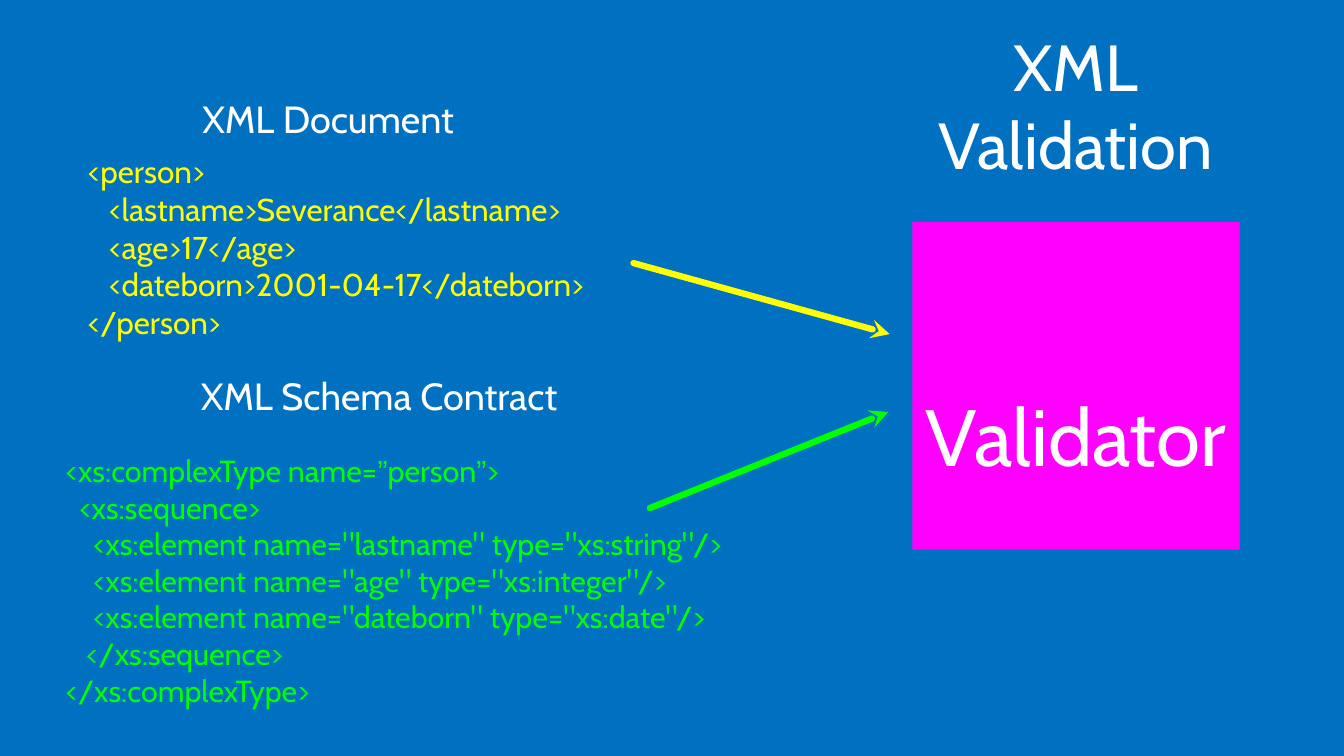
import itertools

import pptx
import pptx.dml.color
import pptx.enum.shapes
import pptx.enum.text
import pptx.oxml.ns
import pptx.util
from lxml import etree

RGBColor = pptx.dml.color.RGBColor
BLUE = RGBColor(0x00, 0x70, 0xC0)
MAGENTA = RGBColor(0xFF, 0x00, 0xFF)
YELLOW = RGBColor(0xFF, 0xFF, 0x00)
GREEN = RGBColor(0x00, 0xFF, 0x00)
WHITE = RGBColor(0xFF, 0xFF, 0xFF)
LEFT = pptx.enum.text.PP_ALIGN.LEFT
CENTER = pptx.enum.text.PP_ALIGN.CENTER
WIDTH = pptx.util.Inches(17.78)
HEIGHT = pptx.util.Inches(10)

DOCUMENT = """<person>
   <lastname>Severance</lastname>
   <age>17</age>
   <dateborn>2001-04-17</dateborn>
</person>"""

SCHEMA = """<xs:complexType name=”person”>
  <xs:sequence>
    <xs:element name="lastname" type="xs:string"/>
    <xs:element name="age" type="xs:integer"/>
    <xs:element name="dateborn" type="xs:date"/>
   </xs:sequence>
</xs:complexType>"""


def across(percent):
    """Return a share of the slide's width."""
    return round(WIDTH * percent / 100)


def down(percent):
    """Return a share of the slide's height."""
    return round(HEIGHT * percent / 100)


def place(left, top, width, height):
    """Return a rectangle given in percent of the slide."""
    return across(left), down(top), across(width), down(height)


def write(shape, text, size, color, alignment):
    """Fill a shape with lines of text, setting curly quotes in Arial."""
    frame = shape.text_frame
    frame.word_wrap = True
    frame.vertical_anchor = pptx.enum.text.MSO_ANCHOR.MIDDLE
    frame.margin_left = frame.margin_right = 0
    frame.margin_top = frame.margin_bottom = 0
    for index, line in enumerate(text.split("\n")):
        paragraph = frame.add_paragraph() if index else frame.paragraphs[0]
        paragraph.alignment = alignment
        paragraph.font.name = "Cabin"
        paragraph.font.size = pptx.util.Pt(size)
        paragraph.font.color.rgb = color
        for curly, letters in itertools.groupby(line, lambda letter: letter == "”"):
            run = paragraph.add_run()
            run.text = "".join(letters)
            if curly:
                run.font.name = "Arial"


def add_text(slide, area, text, size, color=WHITE, alignment=CENTER):
    """Add a text box."""
    write(slide.shapes.add_textbox(*place(*area)), text, size, color, alignment)


def add_validator(slide, area):
    """Add the magenta square with its label below the middle."""
    kind = pptx.enum.shapes.MSO_SHAPE.RECTANGLE
    shape = slide.shapes.add_shape(kind, *place(*area))
    shape.shadow.inherit = False
    shape.fill.solid()
    shape.fill.fore_color.rgb = MAGENTA
    shape.line.fill.background()
    write(shape, "Validator", 76, WHITE, CENTER)
    shape.text_frame.margin_top = down(12.8)


def add_arrow(slide, tip, tail, color):
    """Add a thick round-ended line with a stealth arrowhead at its tip."""
    kind = pptx.enum.shapes.MSO_CONNECTOR.STRAIGHT
    ends = across(tip[0]), down(tip[1]), across(tail[0]), down(tail[1])
    connector = slide.shapes.add_connector(kind, *ends)
    connector.line.color.rgb = color
    connector.line.width = pptx.util.Pt(6)
    qn = pptx.oxml.ns.qn
    properties = connector._element.spPr
    line = properties.find(qn("a:ln"))
    line.set("cap", "rnd")
    etree.SubElement(line, qn("a:headEnd"), type="stealth")
    etree.SubElement(properties, qn("a:effectLst"))


def main():
    """Build the XML validation slide."""
    presentation = pptx.Presentation()
    presentation.slide_width, presentation.slide_height = WIDTH, HEIGHT
    slide = presentation.slides.add_slide(presentation.slide_layouts[6])
    slide.background.fill.solid()
    slide.background.fill.fore_color.rgb = BLUE

    add_validator(slide, (67.88, 29.4, 24.35, 43.3))
    add_text(slide, (6.52, 19.9, 38.92, 25.4), DOCUMENT, 30, YELLOW, LEFT)
    add_text(slide, (4.89, 55.1, 54.56, 43.3), SCHEMA, 29, GREEN, LEFT)
    add_text(slide, (14.79, 48.9, 26.83, 6.8), "XML Schema Contract", 36)
    add_text(slide, (14.79, 12.2, 19.24, 6.8), "XML Document", 36)
    add_arrow(slide, (66.2, 44.2), (47.13, 34.8), YELLOW)
    add_text(slide, (65.02, 8.3, 30.03, 11), "XML Validation", 62)
    add_arrow(slide, (66.09, 54.5), (48.37, 67.2), GREEN)
    presentation.save("out.pptx")


if __name__ == "__main__":
    main()
